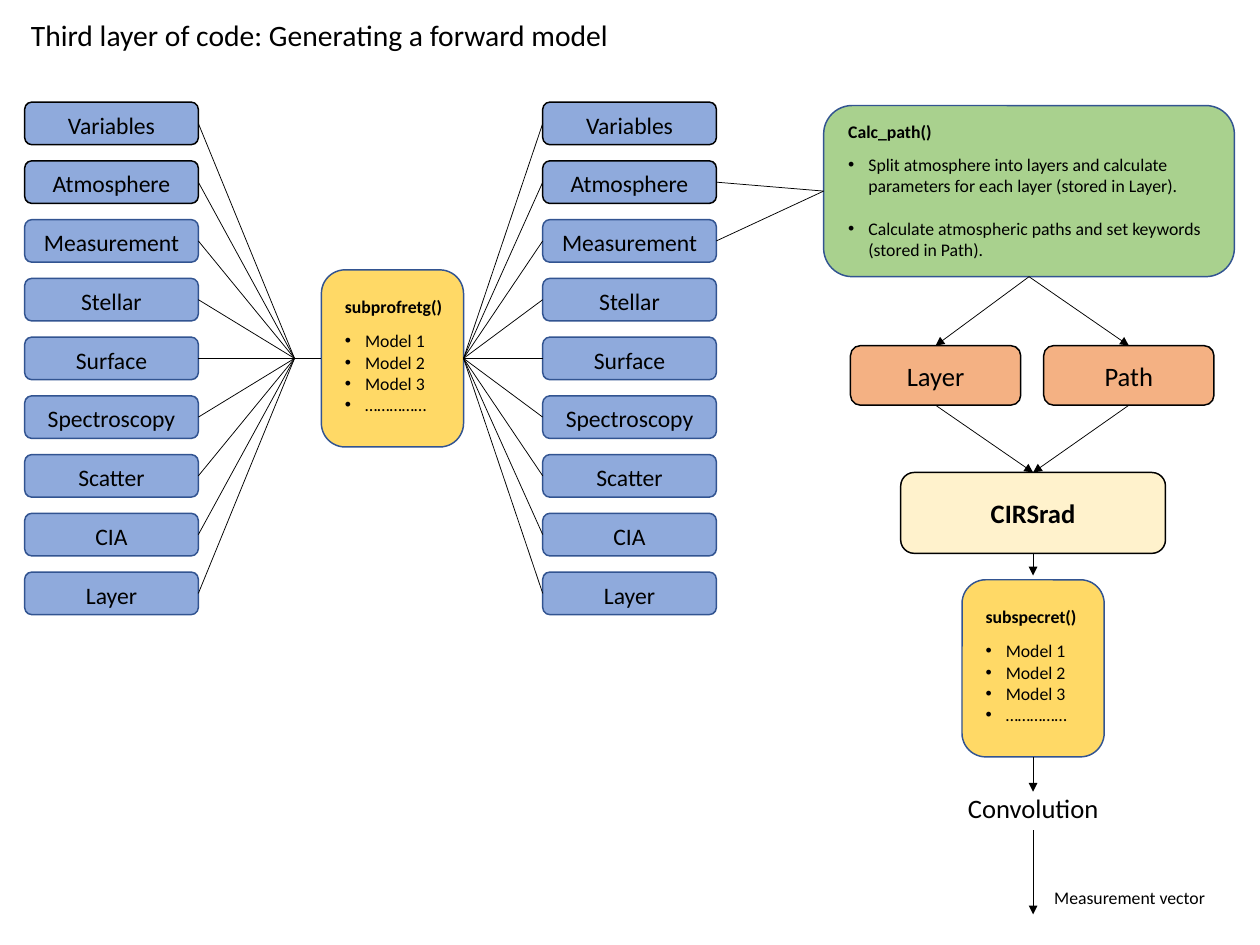
from dataclasses import dataclass
from typing import NamedTuple

from lxml.etree import SubElement
from pptx import Presentation
from pptx.dml.color import RGBColor
from pptx.enum.shapes import MSO_CONNECTOR, MSO_SHAPE
from pptx.enum.text import MSO_ANCHOR, PP_ALIGN
from pptx.oxml.ns import qn
from pptx.shapes.autoshape import Shape
from pptx.util import Emu, Inches, Pt

# Grid of square cells: 148 columns by 111 rows
WIDTH, HEIGHT = Inches(11.84), Inches(8.88)
COLUMNS, ROWS = 148, 111
FONT = "Calibri"
BLACK, NAVY = "000000", "325491"
BLUE, YELLOW, GREEN, ORANGE, CREAM = "8FAADC", "FFD966", "A9D18E", "F4B183", "FFF2CC"
TOP, LEFT, BOTTOM, RIGHT = range(4)


class Area(NamedTuple):
    column: float
    row: float
    columns: float
    rows: float


class Point(NamedTuple):
    column: float
    row: float


class Side(NamedTuple):
    box: Shape
    site: int


@dataclass
class Line:
    text: str
    size: int = 12
    bold: bool = False
    align: PP_ALIGN = PP_ALIGN.LEFT
    bullet: bool = False
    after: float = 0


@dataclass
class Margins:
    left: float = 0
    top: float = 0
    right: float = 0


def across(columns: float) -> Emu:
    return Emu(round(WIDTH * columns / COLUMNS))


def down(rows: float) -> Emu:
    return Emu(round(HEIGHT * rows / ROWS))


def place(area: Area) -> tuple[Emu, Emu, Emu, Emu]:
    return across(area.column), down(area.row), across(area.columns), down(area.rows)


def colour(value: str) -> RGBColor:
    return RGBColor.from_string(value)


def write(holder: Shape, lines: list[Line]) -> None:
    frame = holder.text_frame
    frame.word_wrap = True
    for number, line in enumerate(lines):
        paragraph = frame.add_paragraph() if number else frame.paragraphs[0]
        paragraph.text = line.text
        paragraph.alignment = line.align
        paragraph.space_after = Pt(line.after)
        if line.bullet:
            properties = paragraph._p.get_or_add_pPr()
            properties.set("marL", str(Inches(0.19)))
            properties.set("indent", str(-Inches(0.19)))
            SubElement(properties, qn("a:buFont")).set("typeface", "Arial")
            SubElement(properties, qn("a:buChar")).set("char", "•")
        font = paragraph.font
        font.name, font.size, font.bold = FONT, Pt(line.size), line.bold
        font.color.rgb = colour(BLACK)


def add_label(area: Area, line: Line) -> None:
    write(slide.shapes.add_textbox(*place(area)), [line])


def add_box(area: Area, fill: str, outline: str, lines: list[Line],
            margins: Margins = Margins(), anchor: MSO_ANCHOR = MSO_ANCHOR.MIDDLE) -> Shape:
    box = slide.shapes.add_shape(MSO_SHAPE.ROUNDED_RECTANGLE, *place(area))
    box.shadow.inherit = False
    box.fill.solid()
    box.fill.fore_color.rgb = colour(fill)
    box.line.color.rgb = colour(outline)
    box.line.width = Pt(1)
    frame = box.text_frame
    frame.vertical_anchor = anchor
    frame.margin_left, frame.margin_right = across(margins.left), across(margins.right)
    frame.margin_top, frame.margin_bottom = down(margins.top), 0
    write(box, lines)
    return box


def add_link(start: Point | Side, end: Point | Side, arrow: bool = False) -> None:
    free_ends = [(across(stop.column), down(stop.row)) if isinstance(stop, Point) else (0, 0)
                 for stop in (start, end)]
    link = slide.shapes.add_connector(MSO_CONNECTOR.STRAIGHT, *free_ends[0], *free_ends[1])
    if isinstance(start, Side):
        link.begin_connect(*start)
    if isinstance(end, Side):
        link.end_connect(*end)
    link.line.color.rgb = colour(BLACK)
    link.line.width = Pt(0.5)
    properties = link._element.spPr
    if arrow:
        SubElement(properties.find(qn("a:ln")), qn("a:tailEnd")).set("type", "triangle")
    SubElement(properties, qn("a:effectLst"))


def add_modules(column: float) -> dict[str, Shape]:
    return {
        name: add_box(Area(column, 12 + 6.9 * number, 20.4, 5), BLUE,
                      BLACK if number < 2 else NAVY,
                      [Line(name, 16, align=PP_ALIGN.CENTER)], Margins(top=0.3))
        for number, name in enumerate(MODULES)
    }


def add_models(column: float, row: float, function: str) -> Shape:
    models = [Line(text, bullet=True) for text in ("Model 1", "Model 2", "Model 3", "……………")]
    return add_box(Area(column, row, 16.7, 20.8), YELLOW, NAVY,
                   [Line(function, bold=True, after=9), *models],
                   Margins(left=1.95, top=2.2), MSO_ANCHOR.TOP)


def add_step(area: Area, fill: str, name: str, bold: bool = False) -> Shape:
    return add_box(area, fill, BLACK, [Line(name, 18, bold, PP_ALIGN.CENTER)])


MODULES = ["Variables", "Atmosphere", "Measurement", "Stellar", "Surface",
           "Spectroscopy", "Scatter", "CIA", "Layer"]

presentation = Presentation()
presentation.slide_width, presentation.slide_height = WIDTH, HEIGHT
slide = presentation.slides.add_slide(presentation.slide_layouts[6])

add_label(Area(2.4, 1.4, 103.8, 5.5), Line("Third layer of code: Generating a forward model", 20))

# Modules before and after subprofretg()
inputs = add_modules(2.9)
subprofretg = add_models(37.75, 31.7, "subprofretg()")
outputs = add_modules(63.75)
hub = Point(34.6, 42.1)
for module in inputs.values():
    add_link(Side(module, RIGHT), hub)
add_link(hub, Side(subprofretg, LEFT))
for module in outputs.values():
    add_link(Side(subprofretg, RIGHT), Side(module, LEFT))

# Path calculation
calc_path = add_box(
    Area(96.75, 12.4, 48.25, 20.1), GREEN, NAVY,
    [Line("Calc_path()", bold=True, after=8),
     Line("Split atmosphere into layers and calculate parameters for each layer "
          "(stored in Layer).", bullet=True, after=14.6),
     Line("Calculate atmospheric paths and set keywords (stored in Path).", bullet=True)],
    Margins(left=1.9, top=0.8, right=0.9), MSO_ANCHOR.TOP)
for name in ("Atmosphere", "Measurement"):
    add_link(Side(outputs[name], RIGHT), Side(calc_path, LEFT))

# Radiative transfer through layers and paths
cirsrad = add_step(Area(105.8, 55.5, 31.1, 9.5), CREAM, "CIRSrad", bold=True)
for name, column in (("Layer", 99.9), ("Path", 122.6)):
    result = add_step(Area(column, 40.6, 20, 7), ORANGE, name)
    add_link(Side(calc_path, BOTTOM), Side(result, TOP), arrow=True)
    add_link(Side(result, BOTTOM), Side(cirsrad, TOP), arrow=True)

# Spectrum models, convolution and measurement vector
axis = 121.35
subspecret = add_models(113, 68.1, "subspecret()")
add_link(Side(cirsrad, BOTTOM), Point(axis, 67.6), arrow=True)
add_link(Side(subspecret, BOTTOM), Point(axis, 93), arrow=True)
add_label(Area(110.2, 92.4, 22.3, 5), Line("Convolution", 18, align=PP_ALIGN.CENTER))
add_link(Point(axis, 97.5), Point(axis, 107.4), arrow=True)
add_label(Area(122.6, 103.5, 21.8, 3.75), Line("Measurement vector"))

presentation.save("out.pptx")
